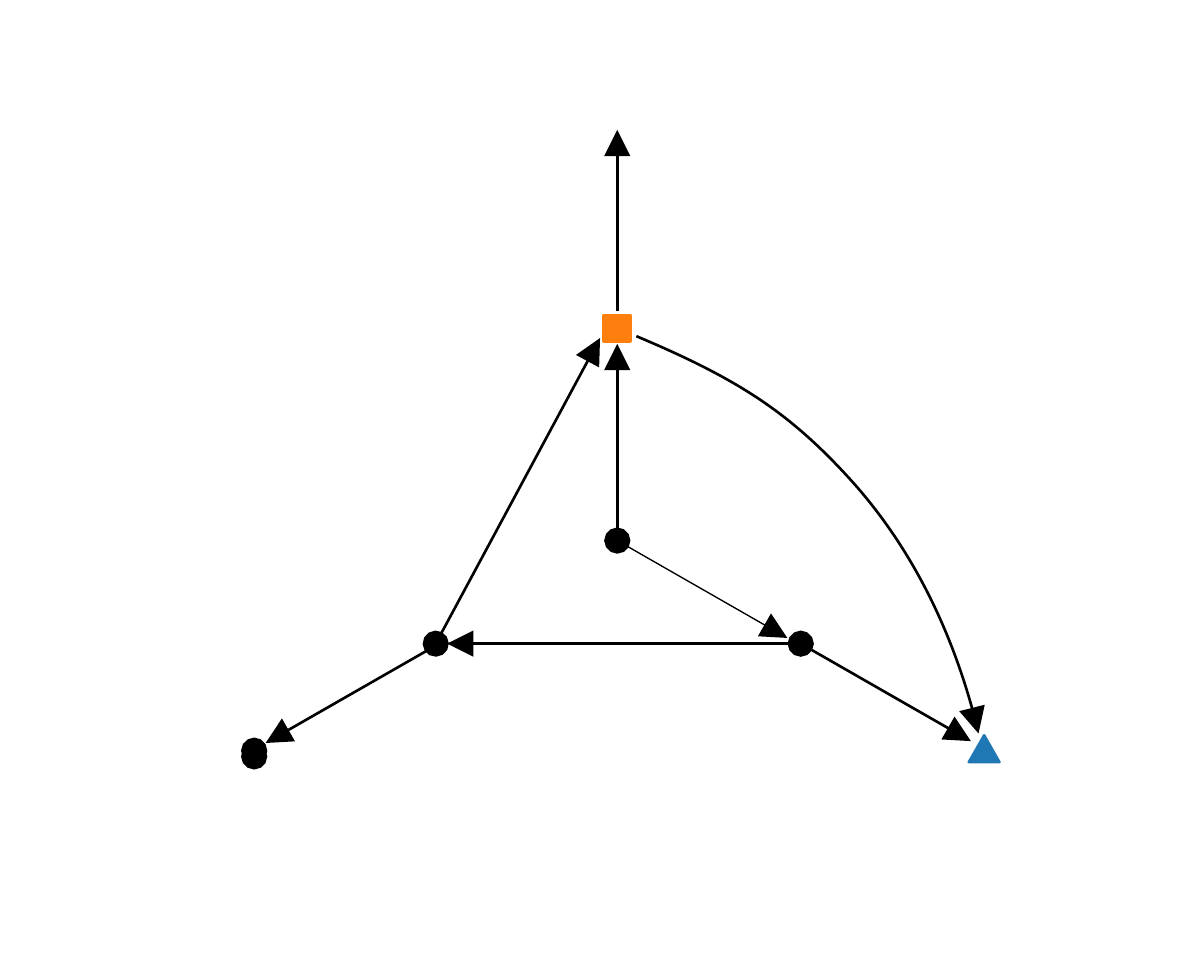
from pptx import Presentation
from pptx.dml.color import RGBColor
from pptx.enum.shapes import MSO_CONNECTOR as Connector, MSO_SHAPE as Shape
from pptx.oxml.ns import qn
from pptx.util import Inches, Pt
from lxml.etree import SubElement

THEME = {
    "edge": RGBColor.from_string("000000"),
    "triangle": RGBColor.from_string("1F77B4"),
    "square": RGBColor.from_string("FF7F0E"),
    "thin": Pt(0.5),
    "regular": Pt(1),
}


def style_line(item, width, head=None, tail=None):
    """Colour a line and give it large end marks."""
    item.line.color.rgb = THEME["edge"]
    item.line.width = THEME[width]
    properties = item.element.spPr
    outline = properties.find(qn("a:ln"))
    for tag, mark in (("a:headEnd", head), ("a:tailEnd", tail)):
        if mark:
            SubElement(outline, qn(tag), type=mark, w="lg", len="lg")
    if properties.find(qn("a:effectLst")) is None:
        SubElement(properties, qn("a:effectLst"))


deck = Presentation()
deck.slide_width, deck.slide_height = Inches(6.3), Inches(5.12)
page = deck.slides.add_slide(deck.slide_layouts[6])

# Straight edges: start, end, width, start mark, end mark
center, left, right = (3.23, 2.83), (2.28, 3.37), (4.19, 3.37)
edges = [
    (center, (3.23, 1.8), "regular", "oval", "triangle"),
    ((2.34, 3.37), right, "regular", "triangle", "oval"),
    (center, (4.12, 3.34), "thin", None, "triangle"),
    (left, (3.14, 1.77), "regular", "oval", "triangle"),
    ((3.23, 1.63), (3.23, 0.68), "regular", None, "triangle"),
    (right, (5.08, 3.88), "regular", None, "triangle"),
    ((2.28, 3.38), (1.39, 3.89), "regular", None, "triangle"),
    ((1.33, 3.93), (1.33, 3.96), "thin", "oval", "oval"),
]
for start, end, width, head, tail in edges:
    edge = page.shapes.add_connector(
        Connector.STRAIGHT, *map(Inches, start + end))
    style_line(edge, width, head, tail)

# Curved edge from the square to the triangle, in hundredths of an inch
curve_start = (333, 176)
curve_parts = [
    [(385, 198), (412, 215), (444, 250)],
    [(476, 285), (501, 336), (512, 384)],
]
builder = page.shapes.build_freeform(*curve_start, scale=Inches(0.01))
builder.add_line_segments([part[-1] for part in curve_parts], close=False)
curve = builder.convert_to_shape()
curve.fill.background()
curve.shadow.inherit = False
outline_path = curve.element.find(".//" + qn("a:path"))
for segment in outline_path.findall(qn("a:lnTo")):
    outline_path.remove(segment)
for part in curve_parts:
    bezier = SubElement(outline_path, qn("a:cubicBezTo"))
    for x, y in part:
        SubElement(bezier, qn("a:pt"),
                   x=str(x - curve_start[0]), y=str(y - curve_start[1]))
style_line(curve, "regular", tail="triangle")

# Coloured nodes
for kind, color, place in (
    (Shape.ISOSCELES_TRIANGLE, "triangle", (5.07, 3.85, 0.16, 0.14)),
    (Shape.RECTANGLE, "square", (3.16, 1.65, 0.14, 0.14)),
):
    node = page.shapes.add_shape(kind, *map(Inches, place))
    node.shadow.inherit = False
    node.fill.solid()
    node.fill.fore_color.rgb = THEME[color]
    node.line.color.rgb = THEME[color]
    node.line.width = THEME["regular"]

deck.save("out.pptx")
